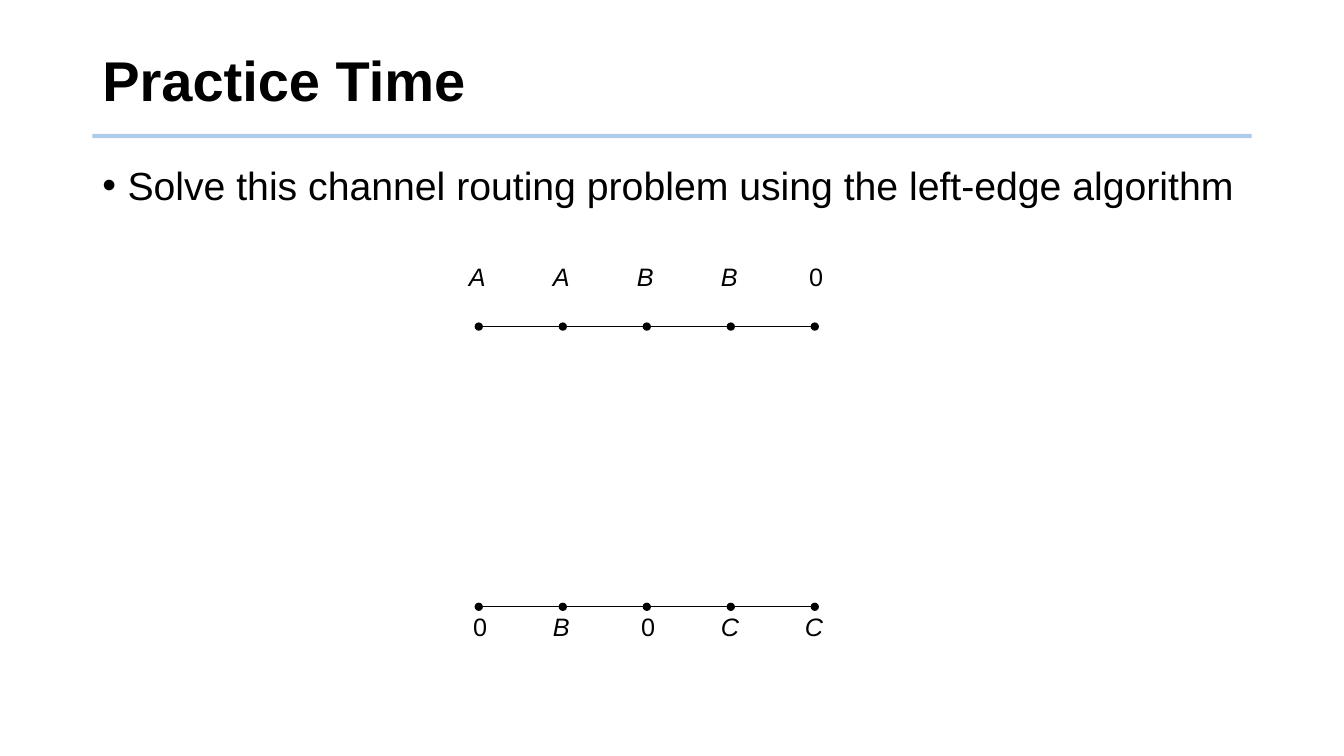
"""Build a practice slide with a five-column channel routing problem."""
from typing import NamedTuple

from lxml.etree import SubElement
from pptx import Presentation
from pptx.dml.color import RGBColor
from pptx.enum.shapes import MSO_CONNECTOR
from pptx.enum.text import MSO_ANCHOR as Anchor
from pptx.oxml.ns import qn
from pptx.util import Emu, Inches, Pt

BLACK = RGBColor(0x00, 0x00, 0x00)
BLUE = RGBColor(0x5B, 0x9B, 0xD5)
FONT = "Arial"
WIDTH, HEIGHT = Inches(13.33), Inches(7.5)
COLUMNS, ROWS = 16, 30
MARGIN, CONTENT = 1.1, 13.8
FIRST_PIN = 5.7


class Side(NamedTuple):
    nets: str
    line_row: float
    label_row: float


SIDES = (Side("AABB0", 12.96, 10.16), Side("0B0CC", 24.08, 24.08))


def col(n: float) -> Emu:
    return Emu(round(WIDTH * n / COLUMNS))


def row(n: float) -> Emu:
    return Emu(round(HEIGHT * n / ROWS))


def add_text(slide, text: str, x: float, y: float, w: float, h: float, *,
             size: float, bold: bool = False, italic: bool = False,
             anchor=Anchor.TOP, spacing: float = 1.0, inset: float = 0.1,
             bullet: bool = False) -> None:
    tf = slide.shapes.add_textbox(col(x), row(y), col(w), row(h)).text_frame
    tf.word_wrap = True
    tf.vertical_anchor = anchor
    tf.margin_left = tf.margin_right = Inches(inset)
    p = tf.paragraphs[0]
    p.line_spacing = spacing
    if bullet:
        pPr = p._p.get_or_add_pPr()
        pPr.set("marL", str(Inches(0.25)))
        pPr.set("indent", str(-Inches(0.25)))
        SubElement(pPr, qn("a:buFont"), typeface=FONT)
        SubElement(pPr, qn("a:buChar"), char="•")
    r = p.add_run()
    r.text = text
    r.font.name, r.font.size = FONT, Pt(size)
    r.font.bold, r.font.italic = bold, italic
    r.font.color.rgb = BLACK


def add_line(slide, x1: float, x2: float, y: float, *, color: RGBColor = BLACK,
             width: float = 0.75, alpha: int = 100, ends: tuple = ()) -> None:
    line = slide.shapes.add_connector(MSO_CONNECTOR.STRAIGHT,
                                      col(x1), row(y), col(x2), row(y))
    line.line.color.rgb = color
    line.line.width = Pt(width)
    spPr = line._element.spPr
    ln = spPr.find(qn("a:ln"))
    if alpha < 100:
        SubElement(ln.find(".//" + qn("a:srgbClr")), qn("a:alpha"),
                   val=str(alpha * 1000))
    for end in ends:
        SubElement(ln, qn(f"a:{end}"), type="oval")
    SubElement(spPr, qn("a:effectLst"))


def add_side(slide, side: Side) -> None:
    for i, net in enumerate(side.nets):
        pin = FIRST_PIN + i
        if i:
            ends = ("headEnd", "tailEnd") if i == 1 else ("tailEnd",)
            add_line(slide, pin - 1, pin, side.line_row, ends=ends)
        offset = 0.25 if net.isalpha() else 0.2
        add_text(slide, net, pin - offset, side.label_row, 0.83, 2.92,
                 size=18, italic=net.isalpha(), inset=0.11)


def main() -> None:
    prs = Presentation()
    prs.slide_width, prs.slide_height = WIDTH, HEIGHT
    s = prs.slides.add_slide(prs.slide_layouts[6])
    add_line(s, MARGIN, MARGIN + CONTENT, 5.4, color=BLUE, width=3, alpha=50)
    add_text(s, "Practice Time", MARGIN, 1.12, CONTENT, 4.4,
             size=40, bold=True, anchor=Anchor.MIDDLE, spacing=0.9)
    add_text(s, "Solve this channel routing problem using the left-edge algorithm",
             MARGIN, 6.4, CONTENT, 20.6, size=28, spacing=0.9, bullet=True)
    for side in SIDES:
        add_side(s, side)
    prs.save("out.pptx")


if __name__ == "__main__":
    main()
